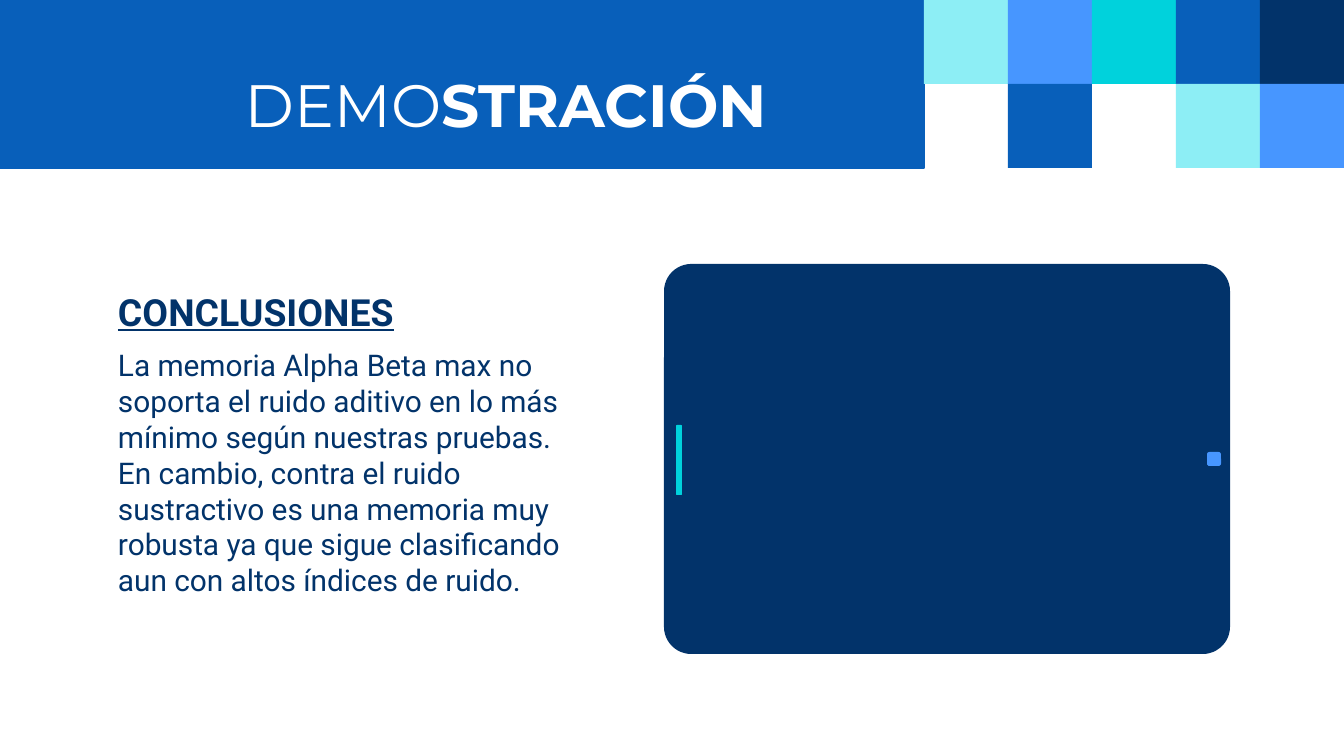
"""Build the "Demostración" conclusions slide."""
from pptx import Presentation
from pptx.dml.color import RGBColor
from pptx.enum.shapes import MSO_SHAPE as SHAPE
from pptx.enum.text import MSO_ANCHOR as ANCHOR, MSO_AUTO_SIZE as AUTO, PP_ALIGN as ALIGN
from pptx.util import Pt

SCALE = 914400 / 134.4
COLORS = {"navy": "02336A", "blue": "085FBA", "sky": "4796FF",
          "teal": "00D2DC", "pale": "8DEEF5", "white": "FFFFFF"}


def box(*lengths):
    return [round(length * SCALE) for length in lengths]


def style(run, font, size, color, bold=False):
    run.font.name = font
    run.font.size = Pt(size)
    run.font.bold = bold
    run.font.color.rgb = RGBColor.from_string(COLORS[color])


deck = Presentation()
deck.slide_width, deck.slide_height = box(1344, 756)
slide = deck.slides.add_slide(deck.slide_layouts[5])

TILE = 84
mosaic = [["pale", "sky", "teal", "blue", "navy"],
          [None, "blue", None, "pale", "sky"]]
blocks = [(SHAPE.RECTANGLE, 924 + col * TILE, row * TILE, TILE, TILE, color, None)
          for row, colors in enumerate(mosaic)
          for col, color in enumerate(colors) if color]
blocks += [(SHAPE.ROUNDED_RECTANGLE, 664, 264, 566, 390, "navy", 0.07),
           (SHAPE.ROUNDED_RECTANGLE, 676, 425, 6, 70, "teal", 0.17),
           (SHAPE.ROUNDED_RECTANGLE, 1207, 452, 14, 14, "sky", 0.17)]
for kind, left, top, width, height, color, rounding in blocks:
    block = slide.shapes.add_shape(kind, *box(left, top, width, height))
    block.shadow.inherit = False
    block.fill.solid()
    block.fill.fore_color.rgb = RGBColor.from_string(COLORS[color])
    block.line.fill.background()
    if rounding:
        block.adjustments[0] = rounding

heading = slide.shapes.title
heading.left, heading.top, heading.width, heading.height = box(0, 0, 924, 168)
heading.fill.solid()
heading.fill.fore_color.rgb = RGBColor.from_string(COLORS["blue"])
heading.line.color.rgb = RGBColor.from_string(COLORS["blue"])
heading.line.width = Pt(0.75)
frame = heading.text_frame
frame.auto_size = AUTO.NONE
frame.word_wrap = True
frame.vertical_anchor = ANCHOR.MIDDLE
frame.margin_left, frame.margin_top, frame.margin_right, frame.margin_bottom = box(101, 40, 13, 0)
frame.paragraphs[0].alignment = ALIGN.CENTER
for word, bold in [("DEMO", False), ("STRACIÓN", True)]:
    run = frame.paragraphs[0].add_run()
    run.text = word
    style(run, "Montserrat", 32, "white", bold)

conclusions = slide.shapes.add_textbox(*box(105, 276, 500, 382)).text_frame
conclusions.word_wrap = True
conclusions.margin_left, conclusions.margin_top, conclusions.margin_right, conclusions.margin_bottom = box(13, 13, 13, 13)
conclusions.text = (
    "CONCLUSIONES\n"
    "La memoria Alpha Beta max no soporta el ruido aditivo en lo más mínimo según "
    "nuestras pruebas. En cambio, contra el ruido sustractivo es una memoria muy "
    "robusta ya que sigue clasificando aun con altos índices de ruido.")
label, finding = conclusions.paragraphs
style(label.runs[0], "Roboto", 20, "navy", True)
label.runs[0].font.underline = True
finding.space_before = Pt(7)
style(finding.runs[0], "Roboto", 16, "navy")

deck.save("out.pptx")
